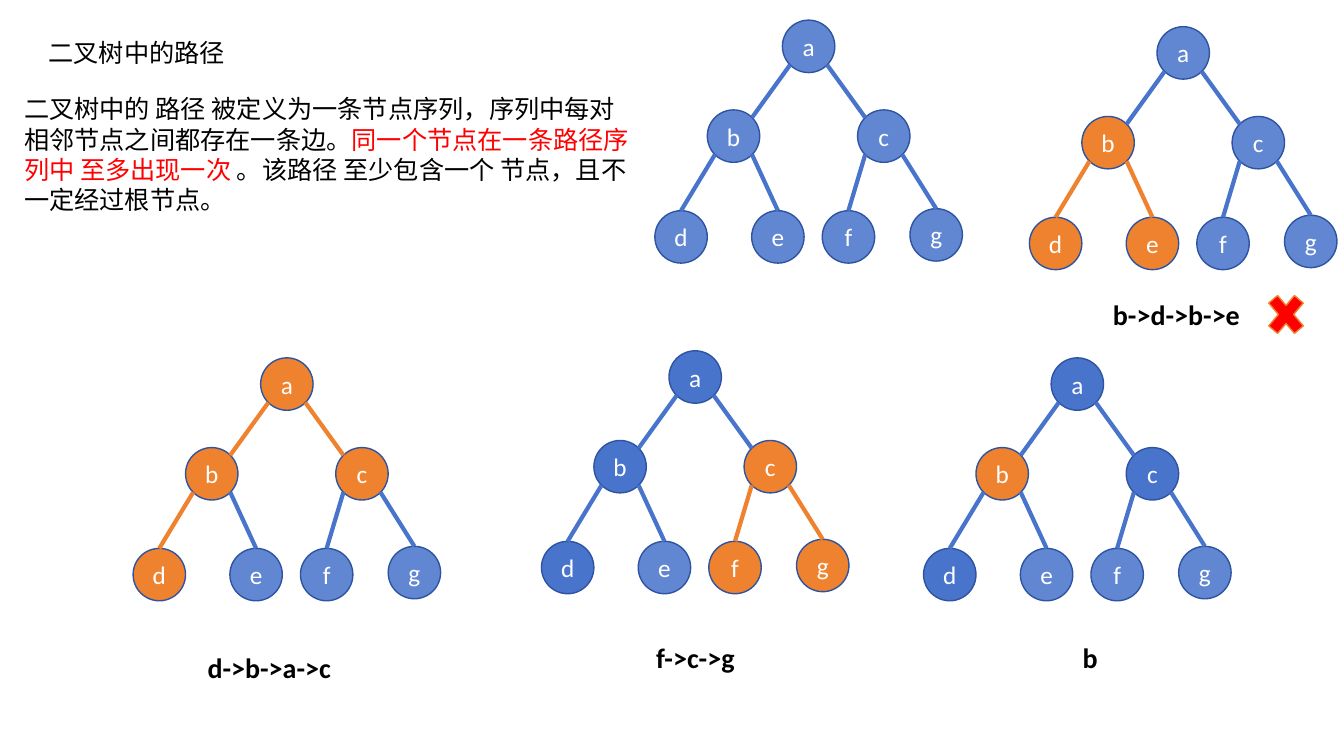
from dataclasses import dataclass
from math import sqrt

from lxml.etree import SubElement
from pptx import Presentation
from pptx.dml.color import RGBColor
from pptx.enum.shapes import MSO_CONNECTOR, MSO_SHAPE
from pptx.enum.text import MSO_ANCHOR, MSO_AUTO_SIZE, PP_ALIGN
from pptx.oxml.ns import qn
from pptx.shapes.autoshape import Shape
from pptx.slide import Slide
from pptx.text.text import TextFrame
from pptx.util import Inches, Length, Pt

BLUE = RGBColor(0x48, 0x74, 0xCB)
NAVY = RGBColor(0x2E, 0x54, 0xA1)
ORANGE = RGBColor(0xEE, 0x82, 0x2F)
RED = RGBColor(0xFF, 0x00, 0x00)
BLACK = RGBColor(0x00, 0x00, 0x00)
WHITE = RGBColor(0xFF, 0xFF, 0xFF)

WIDE, HIGH = Inches(13.33), Inches(7.5)
COLS, ROWS = 133.3, 75
SIZE = 5.2
HALF = SIZE / 2
DIAG = HALF / sqrt(2)

PLAIN = {"name": "Calibri", "size": Pt(18), "bold": False}
STRONG = {**PLAIN, "size": Pt(20), "bold": True}
TOP = {"word_wrap": True, "vertical_anchor": MSO_ANCHOR.TOP, "auto_size": MSO_AUTO_SIZE.NONE}
GROW = {**TOP, "auto_size": MSO_AUTO_SIZE.SHAPE_TO_FIT_TEXT}
MIDDLE = {**TOP, "vertical_anchor": MSO_ANCHOR.MIDDLE}

SPOTS = {
    "a": (0, 0),
    "b": (-7.45, 8.9),
    "c": (7.45, 8.9),
    "d": (-12.65, 18.9),
    "e": (-3.05, 18.9),
    "f": (3.95, 18.9),
    "g": (12.65, 18.7),
}
EDGES = ("ab", "bd", "ac", "cg", "be", "cf")


@dataclass(frozen=True)
class Tree:
    col: float
    row: float
    hot: str = ""
    solid: str = ""


@dataclass(frozen=True)
class Label:
    text: str
    col: float
    row: float
    span: float


TREES = (
    Tree(77.6, 2),
    Tree(25.85, 35.5, "abcd"),
    Tree(66.35, 34.8, "cfg", "abd"),
    Tree(104.25, 35.5, "b", "acd"),
    Tree(114.75, 2.65, "bde"),
)
LABELS = (
    Label("d->b->a->c", 19.6, 64, 18.1),
    Label("f->c->g", 64.1, 63.1, 18.1),
    Label("b", 106.4, 63.1, 10.2),
    Label("b->d->b->e", 109.4, 29, 18.1),
)
BODY = (
    ("二叉树中的 路径 被定义为一条节点序列，序列中每对相邻节点之间都存在一条边。", BLACK),
    ("同一个节点在一条路径序列中 至多出现一次", RED),
    (" 。该路径 至少包含一个 节点，且不一定经过根节点。", BLACK),
)


def across(cols: float) -> Length:
    return Length(round(WIDE * cols / COLS))


def down(rows: float) -> Length:
    return Length(round(HIGH * rows / ROWS))


def area(col: float, row: float, cols: float, rows: float) -> tuple[Length, ...]:
    return across(col), down(row), across(cols), down(rows)


def apply(target: object, values: dict) -> None:
    for key, value in values.items():
        setattr(target, key, value)


def write(frame: TextFrame, parts: tuple, font: dict, form: dict,
          align: PP_ALIGN = PP_ALIGN.LEFT) -> None:
    apply(frame, form)
    para = frame.paragraphs[0]
    para.alignment = align
    for text, color in parts:
        run = para.add_run()
        run.text = text
        apply(run.font, font)
        run.font.color.rgb = color


def paint(shape: Shape, fill: RGBColor, line: RGBColor) -> None:
    shape.shadow.inherit = False
    shape.fill.solid()
    shape.fill.fore_color.rgb = fill
    shape.line.color.rgb = line
    shape.line.width = Pt(1)


def fade(shape: Shape) -> None:
    color = shape.element.spPr.find(f"{qn('a:solidFill')}/{qn('a:srgbClr')}")
    SubElement(color, qn("a:alpha")).set("val", "86000")


def node(slide: Slide, tree: Tree, name: str) -> None:
    x, y = SPOTS[name]
    shape = slide.shapes.add_shape(
        MSO_SHAPE.OVAL, *area(tree.col + x, tree.row + y, SIZE, SIZE))
    paint(shape, ORANGE if name in tree.hot else BLUE, NAVY)
    if name not in tree.hot + tree.solid:
        fade(shape)
    write(shape.text_frame, ((name, WHITE),), PLAIN, MIDDLE, PP_ALIGN.CENTER)


def edge(slide: Slide, tree: Tree, ends: str) -> None:
    (x1, y1), (x2, y2) = (SPOTS[name] for name in ends)
    side = DIAG if x2 > x1 else -DIAG
    inner = ends[0] == "a"
    col, row = tree.col + HALF, tree.row + HALF
    line = slide.shapes.add_connector(
        MSO_CONNECTOR.STRAIGHT,
        across(col + x1 + side), down(row + y1 + DIAG),
        across(col + x2 - (side if inner else 0)),
        down(row + y2 - (DIAG if inner else HALF)))
    line.line.color.rgb = ORANGE if set(ends) <= set(tree.hot) else BLUE
    line.line.width = Pt(3)
    SubElement(line.element.spPr, qn("a:effectLst"))


def draw(slide: Slide, tree: Tree) -> None:
    for name in SPOTS:
        node(slide, tree, name)
    for ends in EDGES:
        edge(slide, tree, ends)


def main() -> None:
    deck = Presentation()
    apply(deck, {"slide_width": WIDE, "slide_height": HIGH})
    slide = deck.slides.add_slide(deck.slide_layouts[5])

    title = slide.shapes.title
    spot = area(3.8, 3.2, 36.3, 4)
    apply(title, dict(zip(("left", "top", "width", "height"), spot)))
    write(title.text_frame, (("二叉树中的路径", BLACK),), PLAIN, TOP)

    body = slide.shapes.add_textbox(*area(1.4, 8.8, 62.7, 20.2))
    write(body.text_frame, BODY, PLAIN, TOP)

    for tree in TREES:
        draw(slide, tree)
    for label in LABELS:
        box = slide.shapes.add_textbox(*area(label.col, label.row, label.span, 4.4))
        write(box.text_frame, ((label.text, BLACK),), STRONG, GROW)

    cross = slide.shapes.add_shape(MSO_SHAPE.MATH_MULTIPLY, *area(125.1, 28.3, 4.9, 5.8))
    paint(cross, RED, ORANGE)
    deck.save("out.pptx")


if __name__ == "__main__":
    main()
